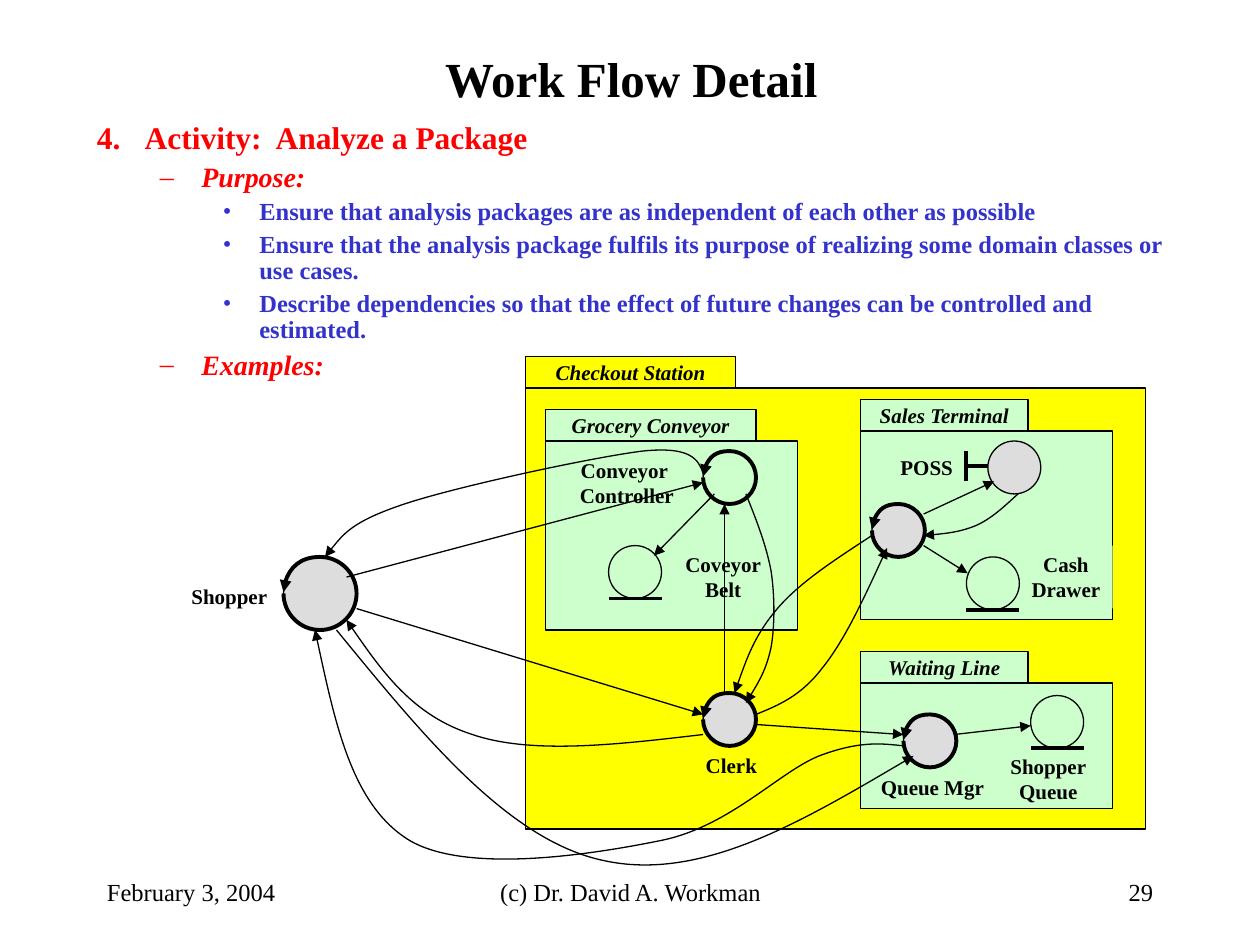
from dataclasses import dataclass

from lxml.etree import SubElement
from pptx import Presentation
from pptx.dml.color import RGBColor
from pptx.enum.shapes import MSO_CONNECTOR as Connector, MSO_SHAPE as Shape
from pptx.enum.text import MSO_ANCHOR as Anchor, MSO_AUTO_SIZE as AutoSize, PP_ALIGN as Align
from pptx.oxml.ns import qn
from pptx.util import Inches, Pt


@dataclass(frozen=True)
class Theme:
    font: str = "Times New Roman"
    black: RGBColor = RGBColor(0x00, 0x00, 0x00)
    red: RGBColor = RGBColor(0xFF, 0x00, 0x00)
    blue: RGBColor = RGBColor(0x33, 0x33, 0xCC)
    yellow: RGBColor = RGBColor(0xFF, 0xFF, 0x00)
    green: RGBColor = RGBColor(0xCC, 0xFF, 0xCC)
    gray: RGBColor = RGBColor(0xDD, 0xDD, 0xDD)
    title_size: int = 28
    footer_size: int = 14
    label_size: int = 12
    thin: float = 0.75
    thick: float = 2.25


THEME = Theme()
NODE = 0.42

# level: (bullet, left, hanging, space before, size, colour, italic)
LEVELS = (
    (None, 0.38, 0.38, 0, 18, THEME.red, False),
    ("–", 0.83, 0.33, 4, 16, THEME.red, True),
    ("•", 1.29, 0.29, 3.5, 14, THEME.blue, False),
)
OUTLINE = (
    (0, "4.\tActivity:  Analyze a Package"),
    (1, "Purpose:"),
    (2, "Ensure that analysis packages are as independent of each other as possible"),
    (2, "Ensure that the analysis package fulfils its purpose of realizing some domain classes or use cases."),
    (2, "Describe dependencies so that the effect of future changes can be controlled and estimated."),
    (1, "Examples:"),
)
STRAIGHT_FLOWS = (
    ((2.83, 4.83), (5.58, 5.67)),
    ((2.75, 4.58), (5.58, 3.83)),
    ((5.75, 5.5), (5.75, 4)),
    ((6, 5.75), (7.17, 5.83)),
    ((5.67, 3.92), (5.19, 4.41)),
    ((7.33, 4.33), (7.68, 4.55)),
    ((7.33, 4.08), (7.89, 3.82)),
    ((7.57, 5.83), (8.18, 5.76)),
)
# start point, then two control points and an end point for each Bézier segment
CURVED_FLOWS = (
    ((8.08, 3.92), (7.98, 4.01), (7.88, 4.11), (7.75, 4.17), (7.63, 4.22), (7.48, 4.24), (7.33, 4.25)),
    ((5.58, 5.83), (4.9, 5.91), (4.22, 5.99), (3.75, 5.83), (3.28, 5.68), (3.01, 5.3), (2.75, 4.92)),
    ((6.92, 4.25), (6.63, 4.44), (6.35, 4.62), (6.17, 4.83), (5.99, 5.04), (5.91, 5.27), (5.83, 5.5)),
    ((2.67, 5), (3.35, 5.83), (4.03, 6.67), (4.79, 6.83), (5.56, 7), (6.4, 6.5), (7.25, 6)),
    ((7.17, 5.92), (6.99, 5.9), (6.82, 5.88), (6.5, 6), (6.18, 6.13), (5.79, 6.56), (5.25, 6.67),
     (4.71, 6.78), (3.71, 6.94), (3.25, 6.67), (2.79, 6.39), (2.65, 5.69), (2.5, 5)),
    ((5.58, 3.75), (5.54, 3.65), (5.49, 3.54), (5.1, 3.58), (4.7, 3.63), (3.63, 3.86), (3.21, 4),
     (2.79, 4.14), (2.69, 4.28), (2.58, 4.42)),
    ((5.92, 3.92), (6, 4.12), (6.08, 4.32), (6.12, 4.53), (6.15, 4.73), (6.15, 4.97), (6.12, 5.14),
     (6.08, 5.32), (6, 5.45), (5.92, 5.58)),
    ((6, 5.67), (6.17, 5.6), (6.35, 5.53), (6.52, 5.31), (6.7, 5.09), (6.87, 4.72), (7.04, 4.35)),
)


def add_run(paragraph, text, size, color=THEME.black, bold=True, italic=False):
    run = paragraph.add_run()
    run.text = text
    font = run.font
    font.name, font.size, font.bold, font.italic = THEME.font, Pt(size), bold, italic
    font.color.rgb = color


def set_outline(shape, width, arrow=False):
    shape.line.color.rgb = THEME.black
    shape.line.width = Pt(width)
    if arrow:
        line = shape._element.spPr.find(qn("a:ln"))
        SubElement(line, qn("a:tailEnd"), type="triangle")


def add_text(slide, box, text, size, align=Align.CENTER, bold=True):
    shape = slide.shapes.add_textbox(*map(Inches, box))
    frame = shape.text_frame
    frame.word_wrap = True
    frame.vertical_anchor = Anchor.MIDDLE
    paragraph = frame.paragraphs[0]
    paragraph.alignment = align
    add_run(paragraph, text, size, bold=bold)


def add_outline(slide):
    frame = slide.shapes.add_textbox(*map(Inches, (0.67, 0.92, 8.83, 2.25))).text_frame
    frame.word_wrap = True
    for index, (level, text) in enumerate(OUTLINE):
        bullet, left, hanging, before, size, color, italic = LEVELS[level]
        paragraph = frame.add_paragraph() if index else frame.paragraphs[0]
        properties = paragraph._p.get_or_add_pPr()
        properties.set("marL", str(Inches(left)))
        properties.set("indent", str(-Inches(hanging)))
        if bullet:
            bullet_color = SubElement(properties, qn("a:buClr"))
            SubElement(bullet_color, qn("a:srgbClr"), val=str(color))
            SubElement(properties, qn("a:buFont"), typeface=THEME.font)
            SubElement(properties, qn("a:buChar"), char=bullet)
        paragraph.level = level
        paragraph.line_spacing = 0.9
        paragraph.space_before = Pt(before)
        add_run(paragraph, text, size, color, italic=italic)


def add_block(slide, kind, box, fill):
    shape = slide.shapes.add_shape(kind, *map(Inches, box))
    shape.shadow.inherit = False
    shape.fill.solid()
    shape.fill.fore_color.rgb = fill
    set_outline(shape, THEME.thin)
    return shape


def add_package(slide, name, left, top, tab_width, width, height, fill):
    """Draw a package: a named tab on top of a body."""
    tab_height = 0.25
    tab = add_block(slide, Shape.RECTANGLE, (left, top, tab_width, tab_height), fill)
    frame = tab.text_frame
    frame.word_wrap = False
    frame.vertical_anchor = Anchor.MIDDLE
    frame.paragraphs[0].alignment = Align.CENTER
    add_run(frame.paragraphs[0], name, THEME.label_size, italic=True)
    add_block(slide, Shape.RECTANGLE, (left, top + tab_height, width, height), fill)


def add_label(slide, lines, left, top, width, fill=None):
    height = 0.3 if len(lines) == 1 else 0.5
    shape = slide.shapes.add_textbox(*map(Inches, (left, top, width, height)))
    if fill is not None:
        shape.fill.solid()
        shape.fill.fore_color.rgb = fill
    frame = shape.text_frame
    frame.word_wrap = False
    frame.auto_size = AutoSize.NONE
    frame.margin_left = frame.margin_right = Inches(0.05)
    for index, line in enumerate(lines):
        paragraph = frame.add_paragraph() if index else frame.paragraphs[0]
        paragraph.alignment = Align.CENTER
        add_run(paragraph, line, THEME.label_size)


def add_line(slide, start, end, width=THEME.thin, arrow=False):
    line = slide.shapes.add_connector(Connector.STRAIGHT, *map(Inches, start + end))
    set_outline(line, width, arrow)
    SubElement(line._element.spPr, qn("a:effectLst"))


def add_curve(slide, points, width=THEME.thin):
    """Draw an arrow whose vertices, three at a time, become Bézier segments."""
    start, *rest = [(Inches(x), Inches(y)) for x, y in points]
    builder = slide.shapes.build_freeform(*start)
    builder.add_line_segments(rest, close=False)
    curve = builder.convert_to_shape()
    curve.shadow.inherit = False
    curve.fill.background()
    set_outline(curve, width, arrow=True)
    path = curve._element.spPr.find(".//" + qn("a:path"))
    segments = path.findall(qn("a:lnTo"))
    for first in range(0, len(segments), 3):
        bezier = SubElement(path, qn("a:cubicBezTo"))
        for segment in segments[first:first + 3]:
            bezier.append(segment[0])
            path.remove(segment)


def add_control(slide, left, top, fill=THEME.gray, size=NODE):
    """Draw a control class: a circle ringed by an arrow that ends at its left."""
    add_block(slide, Shape.OVAL, (left, top, size, size), fill)
    radius = size / 2
    bend = 0.55
    gap = 0.04  # keeps the ring open, so that its arrowhead is drawn
    unit_ring = ((-1, 0), (-1, bend), (-bend, 1), (0, 1), (bend, 1), (1, bend), (1, 0),
                 (1, -bend), (bend, -1), (0, -1), (-bend, -1), (-1, -bend), (-1, -gap))
    ring = [(left + radius * (1 + x), top + radius * (1 + y)) for x, y in unit_ring]
    add_curve(slide, ring, THEME.thick)


def add_entity(slide, left, top):
    """Draw an entity class: a circle standing on a bar."""
    add_block(slide, Shape.OVAL, (left, top, NODE, NODE), THEME.green)
    add_line(slide, (left, top + NODE), (left + NODE, top + NODE), THEME.thick)


def add_boundary(slide, left, top):
    """Draw a boundary class: a circle joined to a bar on its left."""
    bar, middle = left - 0.17, top + 0.2
    add_block(slide, Shape.OVAL, (left, top, NODE, NODE), THEME.gray)
    add_line(slide, (bar, middle - 0.12), (bar, middle + 0.12), THEME.thick)
    add_line(slide, (bar, middle), (left, middle), THEME.thick)


def add_diagram(slide):
    add_package(slide, "Checkout Station", 4.17, 2.83, 1.67, 4.92, 3.5, THEME.yellow)
    add_package(slide, "Grocery Conveyor", 4.33, 3.25, 1.67, 2, 1.5, THEME.green)
    add_package(slide, "Sales Terminal", 6.83, 3.17, 1.33, 2, 1.5, THEME.green)
    add_package(slide, "Waiting Line", 6.83, 5.17, 1.33, 2, 1, THEME.green)
    add_label(slide, ("Conveyor ", "Controller"), 4.5, 3.58, 0.95, THEME.green)
    add_label(slide, ("Coveyor", "Belt"), 5.34, 4.33, 0.8, THEME.green)
    add_label(slide, ("POSS",), 7.05, 3.56, 0.61, THEME.green)
    add_label(slide, ("Cash", "Drawer"), 8.09, 4.33, 0.74, THEME.green)
    add_label(slide, ("Queue Mgr",), 6.89, 6.1, 1.02)
    add_label(slide, ("Shopper", "Queue"), 7.92, 5.93, 0.8)
    add_label(slide, ("Clerk",), 5.5, 5.92, 0.61)
    add_label(slide, ("Shopper",), 1.42, 4.58, 0.8)
    add_control(slide, 5.58, 3.58, THEME.green)
    for left, top in ((5.58, 5.5), (6.92, 4), (7.17, 5.67)):
        add_control(slide, left, top)
    add_control(slide, 2.25, 4.42, size=0.58)
    for left, top in ((4.83, 4.33), (7.67, 4.42), (8.18, 5.52)):
        add_entity(slide, left, top)
    add_boundary(slide, 7.84, 3.5)
    for start, end in STRAIGHT_FLOWS:
        add_line(slide, start, end, arrow=True)
    for points in CURVED_FLOWS:
        add_curve(slide, points)


def main():
    presentation = Presentation()
    presentation.slide_width, presentation.slide_height = Inches(10), Inches(7.5)
    slide = presentation.slides.add_slide(presentation.slide_layouts[6])
    add_text(slide, (0.76, 0.29, 8.5, 0.66), "Work Flow Detail", THEME.title_size)
    add_outline(slide)
    add_diagram(slide)
    for left, width, text, align in (
        (0.75, 2.08, "February 3, 2004", Align.LEFT),
        (3.42, 3.17, "(c) Dr. David A. Workman", Align.CENTER),
        (7.17, 2.08, "29", Align.RIGHT),
    ):
        add_text(slide, (left, 6.83, width, 0.5), text, THEME.footer_size, align, bold=False)
    presentation.save("out.pptx")


if __name__ == "__main__":
    main()
